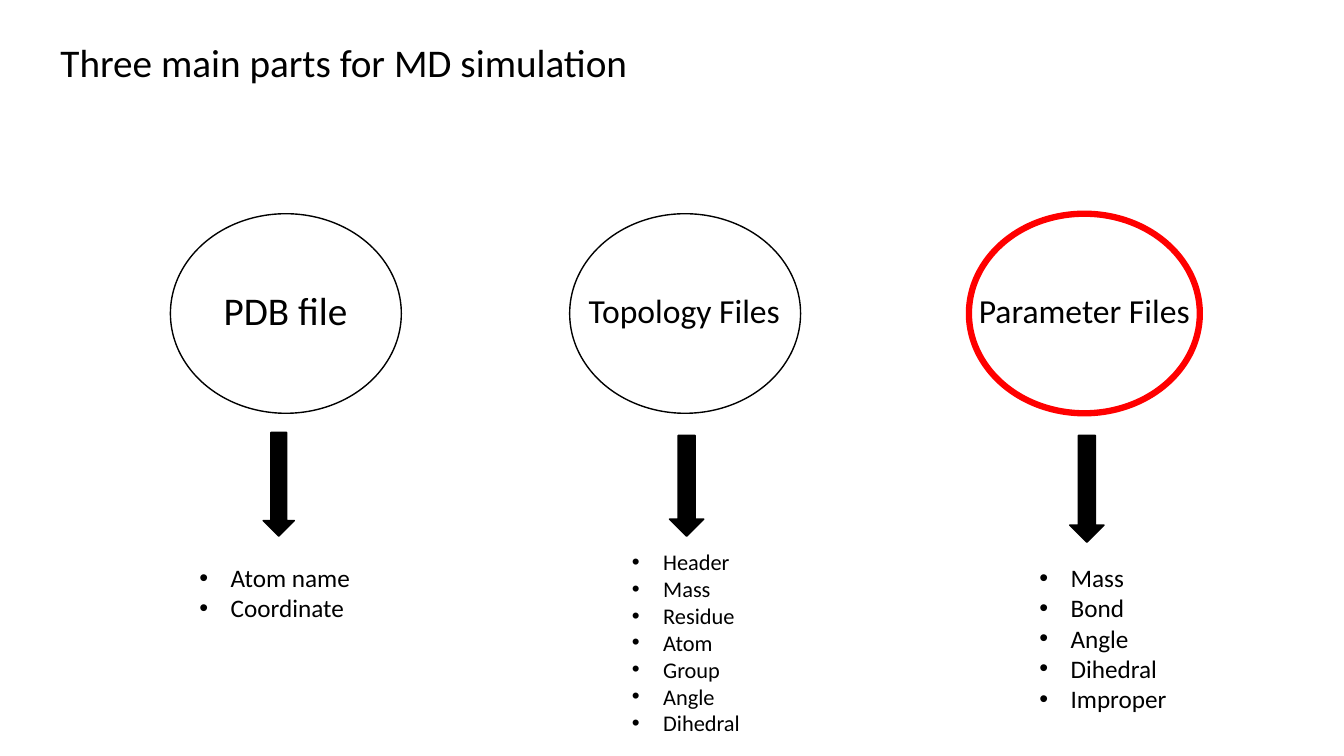
from pptx import Presentation
from pptx.dml.color import RGBColor
from pptx.enum.shapes import MSO_SHAPE as Kind
from pptx.enum.text import MSO_ANCHOR as Anchor, MSO_AUTO_SIZE as Fit, PP_ALIGN as Align
from pptx.oxml.ns import qn
from pptx.util import Inches, Pt
from lxml.etree import SubElement

BLACK, WHITE, RED = "000000", "FFFFFF", "FF0000"
TITLE = "Three main parts for MD simulation"
# Boxes are left, top, width, height in inches.
PARTS = [
    {"name": "PDB file", "size": 28, "label": (2.12, 2.79, 1.44, 0.57),
     "ring": (BLACK, 1), "arrow": (2.61, 4.29, 0.31, 1.03),
     "items": ["Atom name", "Coordinate"],
     "list": (1.88, 5.53, 1.77, 0.71), "small": 18},
    {"name": "Topology Files", "size": 24, "label": (5.74, 2.83, 2.12, 0.5),
     "ring": (BLACK, 1), "arrow": (6.64, 4.32, 0.34, 1),
     "items": ["Header", "Mass", "Residue", "Atom", "Group", "Angle", "Dihedral"],
     "list": (6.17, 5.39, 1.27, 1.99), "small": 16},
    {"name": "Parameter Files", "size": 24, "label": (9.61, 2.83, 2.36, 0.5),
     "ring": (RED, 4.5), "arrow": (10.61, 4.32, 0.34, 1.06),
     "items": ["Mass", "Bond", "Angle", "Dihedral", "Improper"],
     "list": (10.21, 5.53, 1.48, 1.62), "small": 18},
]
LEFT, STEP, TOP, WIDE, HIGH = 1.69, 3.96, 2.12, 2.29, 1.98
INDENT = Inches(0.31)


def color(code):
    return RGBColor.from_string(code)


def place(box):
    return [Inches(n) for n in box]


def draw(slide, kind, box, fill, line, width):
    shape = slide.shapes.add_shape(kind, *place(box))
    shape.shadow.inherit = False
    shape.fill.solid()
    shape.fill.fore_color.rgb = color(fill)
    shape.line.color.rgb = color(line)
    shape.line.width = Pt(width)


def write(shape, lines, size, bullet=False):
    frame = shape.text_frame
    frame.text = "\n".join(lines)
    style = {"word_wrap": False, "auto_size": Fit.SHAPE_TO_FIT_TEXT,
             "vertical_anchor": Anchor.TOP}
    for key, value in style.items():
        setattr(frame, key, value)
    for para in frame.paragraphs:
        para.alignment = Align.LEFT
        font = para.runs[0].font
        font.name, font.size = "Calibri", Pt(size)
        font.color.rgb = color(BLACK)
        if bullet:
            props = para._p.get_or_add_pPr()
            props.set("marL", str(INDENT))
            props.set("indent", str(-INDENT))
            SubElement(props, qn("a:buFont")).set("typeface", "Arial")
            SubElement(props, qn("a:buChar")).set("char", "•")


def main():
    deck = Presentation()
    deck.slide_width, deck.slide_height = Inches(13.33), Inches(7.5)
    slide = deck.slides.add_slide(deck.slide_layouts[5])
    title = slide.shapes.title
    title.left, title.top, title.width, title.height = place((0.5, 0.33, 5.89, 0.57))
    write(title, [TITLE], 28)
    for i, part in enumerate(PARTS):
        ring = (LEFT + i * STEP, TOP, WIDE, HIGH)
        draw(slide, Kind.OVAL, ring, WHITE, *part["ring"])
        draw(slide, Kind.DOWN_ARROW, part["arrow"], BLACK, BLACK, 1)
        label = slide.shapes.add_textbox(*place(part["label"]))
        write(label, [part["name"]], part["size"])
        notes = slide.shapes.add_textbox(*place(part["list"]))
        write(notes, part["items"], part["small"], bullet=True)
    deck.save("out.pptx")


if __name__ == "__main__":
    main()
